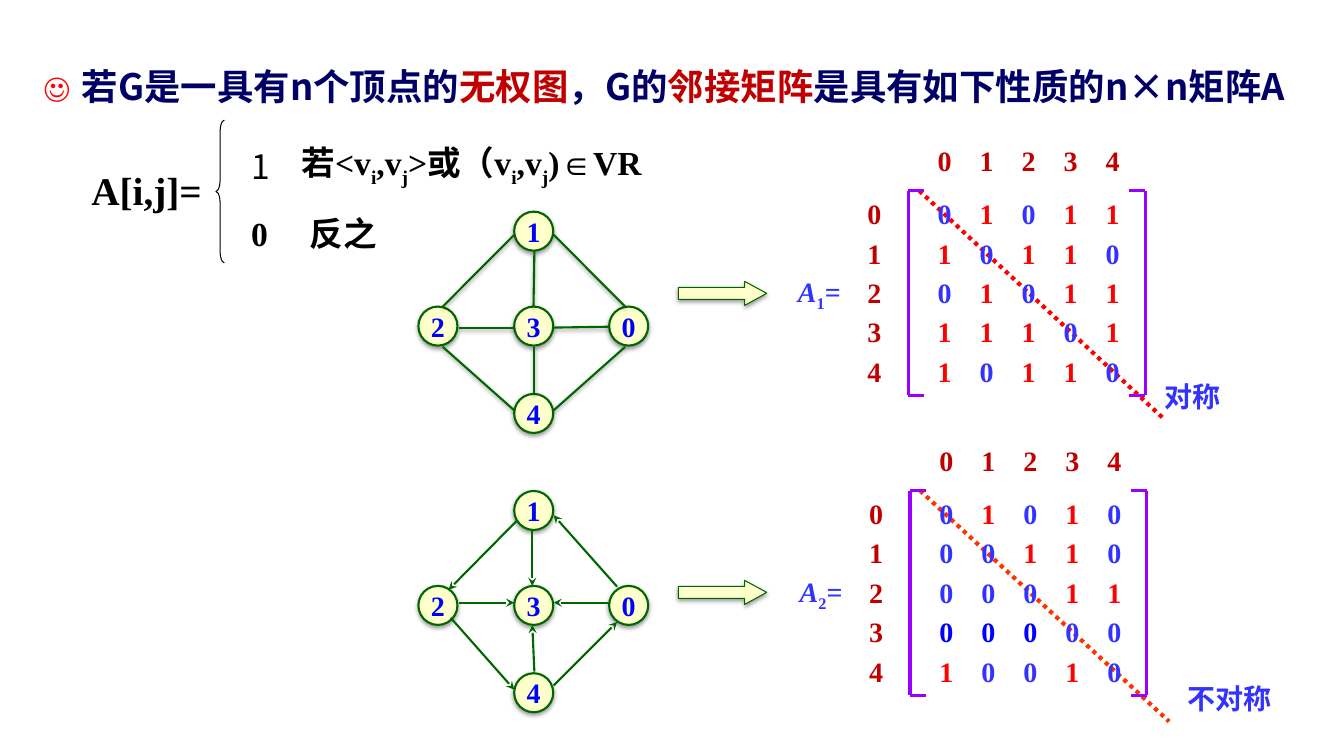
from lxml import etree
from pptx import Presentation
from pptx.dml.color import RGBColor
from pptx.enum.dml import MSO_LINE
from pptx.enum.shapes import MSO_CONNECTOR, MSO_SHAPE
from pptx.enum.text import MSO_ANCHOR, MSO_AUTO_SIZE, PP_ALIGN
from pptx.oxml.ns import qn
from pptx.util import Emu, Inches, Pt

STRAIGHT = MSO_CONNECTOR.STRAIGHT
DOTTED = MSO_LINE.ROUND_DOT
LEFT, CENTER = PP_ALIGN.LEFT, PP_ALIGN.CENTER
TOP, MIDDLE = MSO_ANCHOR.TOP, MSO_ANCHOR.MIDDLE
OVAL, ARROW, BRACE = MSO_SHAPE.OVAL, MSO_SHAPE.RIGHT_ARROW, MSO_SHAPE.LEFT_BRACE

BLACK = RGBColor(0x00, 0x00, 0x00)
NAVY = RGBColor(0x00, 0x00, 0x66)
CRIMSON = RGBColor(0xC0, 0x00, 0x00)
RED = RGBColor(0xFF, 0x00, 0x00)
ORANGE = RGBColor(0xFF, 0x33, 0x00)
BLUE = RGBColor(0x33, 0x33, 0xFF)
DEEP_BLUE = RGBColor(0x00, 0x00, 0xFF)
GREEN = RGBColor(0x00, 0x66, 0x00)
CREAM = RGBColor(0xFF, 0xFF, 0xCC)
PURPLE = RGBColor(0x99, 0x00, 0xFF)
SERIF, SANS = "Times New Roman", "Noto Sans CJK SC"

# The slide is a grid of 32 columns by 18 rows of square cells.
WIDTH, HEIGHT = Inches(13.33), Inches(7.5)
CELL = HEIGHT / 18
NODE = 0.93
ROW_PITCH = 0.94
BRACKET_WIDTH, BRACKET_HEIGHT, BRACKET_TICK = 5.64, 4.87, 0.38

NODES = {"1": (2.28, 0), "3": (2.28, 2.26), "2": (0, 2.26),
         "0": (4.54, 2.26), "4": (2.28, 4.34)}
EDGES = [(2.28, 0.55, 0.58, 2.26), (3.22, 0.55, 4.92, 2.26),
         (0.96, 2.76, 2.28, 2.76), (3.19, 2.76, 4.54, 2.74),
         (2.76, 0.94, 2.74, 2.26), (0.58, 3.22, 2.28, 4.73),
         (2.76, 3.22, 2.76, 4.34), (4.92, 3.22, 3.22, 4.73)]
ARCS = [(2.35, 0.7, 0.72, 2.35), (2.71, 0.94, 2.71, 2.26),
        (4.73, 2.28, 3.22, 0.58), (0.96, 2.66, 2.28, 2.66),
        (4.56, 2.66, 3.22, 2.66), (2.76, 4.3, 2.71, 3.19),
        (3.22, 4.63, 4.73, 3.12), (0.77, 3.02, 2.28, 4.73)]
SYMMETRIC = ["01011", "10110", "01011", "11101", "10110"]
ASYMMETRIC = ["01010", "00110", "00011", "00000", "10010"]


def cells(*counts):
    return [Emu(round(count * CELL)) for count in counts]


def add_element(parent, tag, **attributes):
    return etree.SubElement(parent, qn(tag), attributes)


def set_effect(shape, shadow):
    """Give the shape a soft drop shadow, or an empty effect list."""
    properties = shape._element.spPr
    for former in properties.findall(qn("a:effectLst")):
        properties.remove(former)
    effects = add_element(properties, "a:effectLst")
    if shadow:
        outer = add_element(effects, "a:outerShdw", blurRad=str(Pt(3.1)),
                            dist=str(Pt(1.6)), dir="5400000", rotWithShape="0")
        add_element(add_element(outer, "a:srgbClr", val="000000"),
                    "a:alpha", val="38000")


def set_hanging(para, indent, bullet=None, color=None, percent=100):
    """Indent all but the first line, with an optional bullet character."""
    properties = para._p.get_or_add_pPr()
    margin = cells(indent)[0]
    properties.set("marL", str(margin))
    properties.set("indent", str(-margin))
    if bullet is None:
        add_element(properties, "a:buNone")
        return
    if color is not None:
        add_element(add_element(properties, "a:buClr"), "a:srgbClr", val=str(color))
    add_element(properties, "a:buSzPct", val=str(percent * 1000))
    add_element(properties, "a:buFont", typeface=SANS)
    add_element(properties, "a:buChar", char=bullet)


def set_tabs(para, count):
    tabs = add_element(para._p.get_or_add_pPr(), "a:tabLst")
    for stop in range(1, count + 1):
        add_element(tabs, "a:tab", pos=str(cells(stop)[0]), algn="l")


def write(para, text, size, color, font=SERIF, align=LEFT):
    """Fill a paragraph; text is a string or a list of (text, color, subscript)."""
    para.alignment = align
    para.font.size, para.font.name, para.font.bold = Pt(size), font, True
    add_element(para._p.pPr.find(qn("a:defRPr")), "a:ea", typeface=SANS)
    for words, tint, subscript in [(text, color, False)] if isinstance(text, str) else text:
        span = para.add_run()
        span.text = words
        span.font.color.rgb = tint
        if subscript:
            span._r.get_or_add_rPr().set("baseline", "-25000")


def set_frame(frame, margins, anchor=TOP, wrap=True):
    frame.auto_size = MSO_AUTO_SIZE.NONE
    frame.word_wrap, frame.vertical_anchor = wrap, anchor
    frame.margin_left = frame.margin_right = Inches(margins[0])
    frame.margin_top = frame.margin_bottom = Inches(margins[1])


def add_text_box(page, place, margins=(0.1, 0.05)):
    box = page.shapes.add_textbox(*cells(*place))
    set_frame(box.text_frame, margins)
    return box.text_frame.paragraphs[0]


def add_figure(page, kind, place, weight, line=GREEN, fill=CREAM):
    figure = page.shapes.add_shape(kind, *cells(*place))
    if fill is None:
        figure.fill.background()
    else:
        figure.fill.solid()
        figure.fill.fore_color.rgb = fill
    figure.line.color.rgb, figure.line.width = line, Pt(weight)
    set_effect(figure, fill is not None)
    return figure


def add_line(page, origin, ends, color, weight, dash=None, arrow=False, shadow=False):
    x, y = origin
    x1, y1, x2, y2 = ends
    line = page.shapes.add_connector(STRAIGHT, *cells(x + x1, y + y1, x + x2, y + y2))
    line.line.color.rgb, line.line.width = color, Pt(weight)
    if dash is not None:
        line.line.dash_style = dash
    if arrow:
        add_element(line.line._get_or_add_ln(), "a:tailEnd", type="stealth")
    set_effect(line, shadow)


def add_graph(page, origin, edges, directed):
    for label, (x, y) in NODES.items():
        node = add_figure(page, OVAL, (origin[0] + x, origin[1] + y, NODE, NODE), 1.5)
        set_frame(node.text_frame, (0, 0), MIDDLE, wrap=False)
        write(node.text_frame.paragraphs[0], label, 20, DEEP_BLUE, align=CENTER)
    for ends in edges:
        add_line(page, origin, ends, GREEN, 1.5, arrow=directed, shadow=not directed)


def add_digit_row(page, place, digits, colors):
    para = add_text_box(page, place, (0, 0))
    set_tabs(para, len(digits) - 1)
    spans = [("\t" * (column > 0) + digit, color, False)
             for column, (digit, color) in enumerate(zip(digits, colors))]
    write(para, spans, 20, BLUE)


def add_matrix(page, origin, index, rows, deep=()):
    """Draw a labelled adjacency matrix; deep lists the (row, column) in deep blue."""
    x, y = origin
    name = add_text_box(page, (x - 3.05, y + 1.87, 1.87, 1.06))
    write(name, [("A", BLUE, False), (index, BLUE, True), ("=", BLUE, False)],
          20, BLUE, align=CENTER)
    name.runs[0].font.italic = True
    add_digit_row(page, (x + 0.7, y - 1.13, 4.73, 0.82), "01234", [CRIMSON] * 5)
    for row, digits in enumerate(rows):
        top = y + 0.14 + ROW_PITCH * row
        colors = [DEEP_BLUE if (row, column) in deep else RED if digit == "1" else BLUE
                  for column, digit in enumerate(digits)]
        add_digit_row(page, (x + 0.7, top, 4.73, 0.82), digits, colors)
        label = add_text_box(page, (x - 1.37, top, 1.13, 0.82), (0, 0))
        write(label, str(row), 20, CRIMSON, align=CENTER)
    for side, tick in ((0, BRACKET_TICK), (BRACKET_WIDTH, -BRACKET_TICK)):
        add_line(page, origin, (side, 0, side, BRACKET_HEIGHT), PURPLE, 2.25)
        for level in (0, BRACKET_HEIGHT):
            add_line(page, origin, (side, level, side + tick, level), PURPLE, 2.25)


def add_diagonal(page, origin, ends, color, caption, place):
    add_line(page, origin, ends, color, 3, dash=DOTTED)
    left, top, width, height = place
    para = add_text_box(page, (origin[0] + left, origin[1] + top, width, height))
    write(para, caption, 20, BLUE, SANS, CENTER)


def add_statement(page):
    title, body = page.shapes.title, page.placeholders[1]
    title._element.getparent().remove(title._element)
    body.left, body.top, body.width, body.height = cells(0.8, 1.03, 30.4, 2.26)
    set_frame(body.text_frame, (0.1, 0.12))
    para = body.text_frame.paragraphs[0]
    set_hanging(para, 0.9, "☺", RED, 80)
    para.line_spacing, para.space_before = 1.2, Pt(0)
    write(para, [("若G是一具有n个顶点的", NAVY, False), ("无权图", CRIMSON, False),
                 ("，G的", NAVY, False), ("邻接矩阵", CRIMSON, False),
                 ("是具有如下性质的n×n矩阵A", NAVY, False)], 26, NAVY, SANS)


def add_definition(page):
    write(add_text_box(page, (1.94, 3.84, 3.2, 1.37)), "A[i,j]=", 28, BLACK)
    brace = add_figure(page, BRACE, (5.14, 2.86, 0.2, 3.4), 0.75, BLACK, None)
    brace.adjustments[0] = 1.42
    adjacent = add_text_box(page, (5.74, 3.05, 9.8, 3.02))
    set_hanging(adjacent, 1.2, "1")
    pieces = ["若<v", "i", ",v", "j", ">或（v", "i", ",v", "j", ")∈VR"]
    write(adjacent, [(piece, BLACK, place % 2 == 1) for place, piece in enumerate(pieces)],
          24, BLACK)
    otherwise = adjacent._parent.add_paragraph()
    set_hanging(otherwise, 1.4)
    write(otherwise, "0\t反之", 24, BLACK)
    adjacent.line_spacing = otherwise.line_spacing = 1.2
    otherwise.space_before = Pt(12)


def main():
    deck = Presentation()
    deck.slide_width, deck.slide_height = WIDTH, HEIGHT
    page = deck.slides.add_slide(deck.slide_layouts[1])
    add_statement(page)
    add_definition(page)
    for top in (6.7, 13.82):
        arrow = add_figure(page, ARROW, (16.15, top, 2.1, 0.57), 0.75)
        arrow.adjustments[1] = 0.92
    add_graph(page, (9.96, 5.04), EDGES, directed=False)
    add_graph(page, (9.96, 11.69), ARCS, directed=True)
    upper, lower = (21.62, 4.54), (21.66, 11.68)
    add_diagonal(page, upper, (0.26, 0, 6.07, 5.42), RED, "对称", (5.57, 4.37, 2.4, 1.03))
    add_diagonal(page, lower, (0.24, 0, 6.17, 5.5), ORANGE, "不对称", (6.07, 4.42, 3.07, 1.06))
    add_matrix(page, upper, "1", SYMMETRIC)
    add_matrix(page, lower, "2", ASYMMETRIC, deep=[(3, 0), (3, 1), (3, 2)])
    deck.save("out.pptx")


if __name__ == "__main__":
    main()
